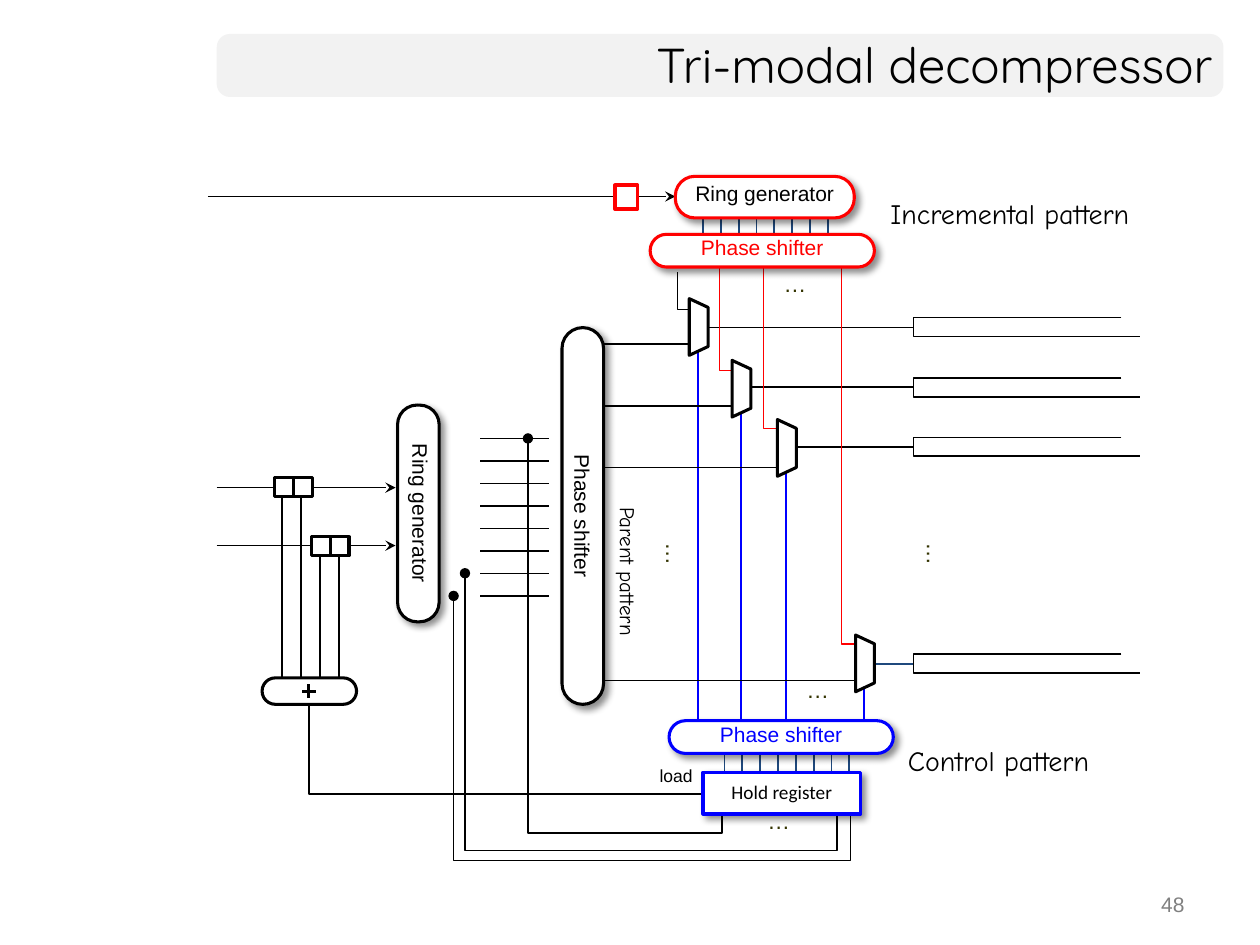
from dataclasses import dataclass

from lxml import etree
from pptx import Presentation
from pptx import util as u
from pptx.dml.color import RGBColor
from pptx.enum import shapes, text
from pptx.oxml.ns import qn


@dataclass(frozen=True)
class Theme:
    black: str = "000000"
    white: str = "FFFFFF"
    red: str = "FF0000"
    blue: str = "0000FF"
    navy: str = "1F497D"
    olive: str = "333300"
    grey: str = "808080"
    band: str = "F2F2F2"
    title: int = 28
    caption: int = 16
    dots: int = 13
    label: int = 12
    register: int = 11
    small: int = 10
    sans: str = "Arial"
    hand: str = "Comic Neue"
    heading: str = "Quicksand"
    body: str = "Calibri"


theme = Theme()
LEFT, CENTER, RIGHT = text.PP_ALIGN.LEFT, text.PP_ALIGN.CENTER, text.PP_ALIGN.RIGHT
ROUND, RECT = shapes.MSO_SHAPE.ROUNDED_RECTANGLE, shapes.MSO_SHAPE.RECTANGLE

deck = Presentation()
deck.slide_width, deck.slide_height = u.Inches(10), u.Inches(7.5)
slide = deck.slides.add_slide(deck.slide_layouts[6])
canvas = slide.shapes


def draw_path(points, color=theme.black, width=1, fill=None, closed=False, ends=None):
    """Connector for two points, freeform for more; ends maps headEnd/tailEnd to a type."""
    spots = [(u.Inches(x), u.Inches(y)) for x, y in points]
    if len(spots) == 2:
        path = canvas.add_connector(shapes.MSO_CONNECTOR.STRAIGHT, *spots[0], *spots[1])
        etree.SubElement(path._element.spPr, qn("a:effectLst"))
    else:
        builder = canvas.build_freeform(*spots[0], scale=1.0)
        builder.add_line_segments(spots[1:], close=closed)
        path = builder.convert_to_shape()
        path.shadow.inherit = False
        if fill:
            path.fill.solid()
            path.fill.fore_color.rgb = RGBColor.from_string(fill)
        else:
            path.fill.background()
    path.line.color.rgb = RGBColor.from_string(color)
    path.line.width = u.Pt(width)
    for end, kind in (ends or {}).items():
        etree.SubElement(path.line._get_or_add_ln(), qn(f"a:{end}"), type=kind)


def write(shape, words, size, font, color, align, insets, spacing=None, **frame_format):
    frame = shape.text_frame
    margins = zip(("margin_left", "margin_top", "margin_right", "margin_bottom"), insets)
    for name, value in margins:
        setattr(frame, name, u.Inches(value))
    for name, value in frame_format.items():
        setattr(frame, name, value)
    line = frame.paragraphs[0]
    line.text = words
    line.alignment = align
    line.line_spacing = spacing
    run_format = {"size": u.Pt(size), "name": font}
    for name, value in run_format.items():
        setattr(line.runs[0].font, name, value)
    line.runs[0].font.color.rgb = RGBColor.from_string(color)


# Title band
band = canvas.add_shape(ROUND, *map(u.Inches, (1.72, 0.27, 7.99, 0.5)))
band.adjustments[0] = 0.21
band.fill.solid()
band.fill.fore_color.rgb = RGBColor.from_string(theme.band)
band.line.fill.background()
band.shadow.inherit = False

# Serial inputs
arrow = {"tailEnd": "stealth"}
draw_path([(1.65, 1.56), (5.36, 1.56)], ends=arrow)
for y in (3.87, 4.33):
    draw_path([(1.72, y), (3.14, y)], ends=arrow)

# Load signal and feedback from the bus to the hold register
draw_path([(2.45, 5.47), (2.45, 6.3), (5.63, 6.3)])
for x, top, bottom, end in ((3.6, 4.73, 6.83, 6.75), (3.69, 4.55, 6.75, 6.64),
                            (4.19, 3.48, 6.61, 5.73)):
    draw_path([(x, top), (x, bottom), (end, bottom), (end, 6.45)],
              ends={"headEnd": "oval"})

# Eight-line buses
for i in range(8):
    for left, top, bottom in ((5.58, 1.73, 2.02), (5.75, 5.85, 6.13)):
        x = left + i * 0.1415
        draw_path([(x, top), (x, bottom)], theme.navy)
    y = 3.48 + i * 0.1786
    draw_path([(3.81, y), (4.36, y)])

# Taps into the adder
for x, top in ((2.24, 3.94), (2.39, 3.94), (2.54, 4.4), (2.69, 4.4)):
    draw_path([(x, top), (x, 5.45)])

# Each channel: multiplexer left and top, parent line, incremental line, scan chain
channels = [
    (5.47, 2.37, 2.73, (5.38, 2.16, 2.46), 2.52, 2.6, theme.black),
    (5.81, 2.86, 3.22, (5.71, 1.97, 2.94), 3.0, 3.07, theme.black),
    (6.17, 3.33, 3.71, (6.06, 1.99, 3.4), 3.47, 3.55, theme.black),
    (6.79, 5.04, 5.4, (6.68, 2.06, 5.11), 5.19, 5.27, theme.navy),
]
for i, (x, y, parent, (drop, start, turn), chain, output, color) in enumerate(channels):
    middle, right = x + 0.07, x + 0.15
    draw_path([(middle, 5.8), (middle, y + 0.4)], theme.blue)
    draw_path([(drop, start), (drop, turn), (x + 0.05, turn)],
              theme.red if i else theme.black, 1 if i else 0.5)
    draw_path([(4.68, parent), (x + 0.04, parent)])
    draw_path([(middle, output), (7.25, output)], color)
    draw_path([(8.9, chain), (7.25, chain), (7.25, chain + 0.15), (9.05, chain + 0.15)],
              width=0.75, fill=theme.white)
    draw_path([(x, y + 0.45), (right, y + 0.38), (right, y + 0.07), (x, y)],
              width=1.75, fill=theme.white, closed=True)

# Blocks: shape, box, corner, rotation, outline, width, label
blocks = [
    (ROUND, (2.08, 5.38, 0.75, 0.21), 0.5, 0, theme.black, 1.75, None),
    (RECT, (4.88, 1.47, 0.18, 0.19), None, 0, theme.red, 2, None),
    (ROUND, (2.46, 3.91, 1.72, 0.33), 0.47, 90, theme.black, 1.75,
     ("Ring generator", theme.label, theme.sans, theme.black, 0.05, 0.8)),
    (ROUND, (5.36, 1.4, 1.42, 0.33), 0.47, 0, theme.red, 1.75,
     ("Ring generator", theme.label, theme.sans, theme.black, 0.07, 0.8)),
    (RECT, (5.58, 6.13, 1.25, 0.33), None, 0, theme.blue, 2,
     ("Hold register", theme.register, theme.body, theme.black, 0.07, None)),
    (ROUND, (3.13, 3.93, 2.99, 0.33), 0.5, 90, theme.black, 1.75,
     ("Phase shifter", theme.label, theme.sans, theme.black, 0.05, None)),
    (ROUND, (5.16, 1.86, 1.78, 0.26), 0.5, 0, theme.red, 1.75,
     ("Phase shifter", theme.label, theme.sans, theme.red, 0.1, None)),
    (ROUND, (5.31, 5.72, 1.78, 0.26), 0.5, 0, theme.blue, 1.75,
     ("Phase shifter", theme.label, theme.sans, theme.blue, 0.1, None)),
]
for x, y in ((2.18, 3.79), (2.33, 3.79), (2.47, 4.26), (2.62, 4.26)):
    blocks.append((RECT, (x, y, 0.15, 0.15), None, 0, theme.black, 1.75, None))

for kind, box, corner, rotation, outline, width, label in blocks:
    block = canvas.add_shape(kind, *map(u.Inches, box))
    if corner:
        block.adjustments[0] = corner
    block.rotation = rotation
    block.fill.solid()
    block.fill.fore_color.rgb = RGBColor.from_string(theme.white)
    block.line.color.rgb = RGBColor.from_string(outline)
    block.line.width = u.Pt(width)
    block.shadow.inherit = False
    if label:
        effects = block._element.spPr.find(qn("a:effectLst"))
        shade = etree.SubElement(effects, qn("a:outerShdw"), blurRad=str(u.Pt(4)),
                                 dist=str(u.Pt(3)), dir="2700000", rotWithShape="0")
        tint = etree.SubElement(shade, qn("a:srgbClr"), val=theme.black)
        etree.SubElement(tint, qn("a:alpha"), val="43000")
        words, size, font, color, bottom, spacing = label
        write(block, words, size, font, color, CENTER, (0.1, 0.05, 0.1, bottom), spacing,
              vertical_anchor=text.MSO_ANCHOR.MIDDLE, word_wrap=True)

# Plus sign of the adder
draw_path([(2.4, 5.49), (2.51, 5.49)], width=1.5)
draw_path([(2.45, 5.43), (2.45, 5.54)], width=1.5)

# Captions and ellipses
captions = [
    ("load", (5.16, 6.03, 0.41, 0.24), 0, theme.small, theme.sans, theme.black, CENTER),
    ("Incremental pattern", (6.87, 1.52, 2.29, 0.34), 0,
     theme.caption, theme.hand, theme.black, CENTER),
    ("Control pattern", (7.04, 5.86, 1.77, 0.34), 0,
     theme.caption, theme.hand, theme.black, CENTER),
    ("Parent pattern", (4.34, 4.4, 1.3, 0.27), 90,
     theme.label, theme.hand, theme.black, CENTER),
]
for x, y, rotation in ((6.15, 2.1, 0), (6.33, 5.32, 0), (6.02, 6.36, 0),
                       (7.14, 4.25, 270), (5.07, 4.25, 270)):
    captions.append(("…", (x, y, 0.32, 0.29), rotation,
                     theme.dots, theme.sans, theme.olive, LEFT))
for words, box, rotation, *style in captions:
    caption = canvas.add_textbox(*map(u.Inches, box))
    caption.rotation = rotation
    write(caption, words, *style, (0.07, 0.04, 0.07, 0.04), word_wrap=False)

# Title and page number
for words, box, *style in (
    ("Tri-modal decompressor", (1.03, 0.25, 8.69, 0.51),
     theme.title, theme.heading, theme.black),
    ("48", (7.17, 7, 2.33, 0.35), theme.label, theme.sans, theme.grey),
):
    heading = canvas.add_textbox(*map(u.Inches, box))
    write(heading, words, *style, RIGHT, (0.1, 0.05, 0.1, 0.05),
          vertical_anchor=text.MSO_ANCHOR.MIDDLE, word_wrap=True)

deck.save("out.pptx")
